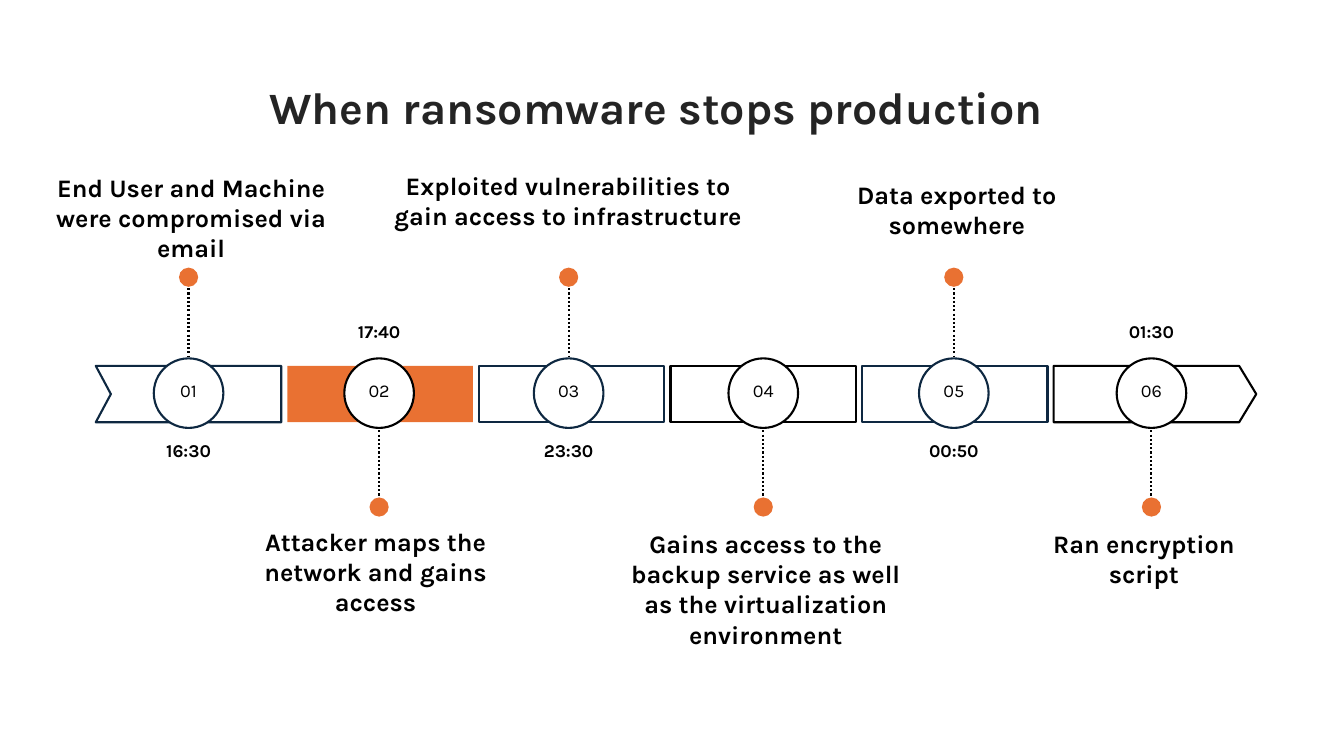
"""Build a slide with the timeline of a ransomware attack."""
from lxml import etree
from pptx import Presentation
from pptx.dml.color import RGBColor
from pptx.enum import dml, shapes, text
from pptx.oxml import ns
from pptx.util import Inches, Pt

FONT = "Karla"
BLACK = RGBColor(0x00, 0x00, 0x00)
WHITE = RGBColor(0xFF, 0xFF, 0xFF)
GREY = RGBColor(0x24, 0x24, 0x24)
NAVY = RGBColor(0x0E, 0x28, 0x41)
ORANGE = RGBColor(0xE9, 0x71, 0x32)

LEFT, TOP, PITCH, WIDTH, HEIGHT = 0.95, 3.63, 1.9, 1.84, 0.56
DISC, DOT = 0.69, 0.19

# Each step: centre, time, text, text box
STEPS = [
    (1.87, "16:30", "End User and Machine were compromised via email",
     (0.3, 1.66, 3.19, 1)),
    (3.76, "17:40", "Attacker maps the network and gains access",
     (2.32, 5.17, 2.81, 1.24)),
    (5.64, "23:30", "Exploited vulnerabilities to gain access to infrastructure",
     (3.78, 1.64, 3.71, 1.01)),
    (7.57, None, "Gains access to the backup service as well as the "
     "virtualization environment", (6.11, 5.19, 2.97, 1.24)),
    (9.46, "00:50", "Data exported to somewhere", (7.77, 1.73, 3.44, 0.74)),
    (11.42, "01:30", "Ran encryption script", (10.17, 5.19, 2.35, 1.05)),
]


def paint(shape, fill, line=None):
    """Set the fill and outline of a shape."""
    shape.shadow.inherit = False
    shape.fill.solid()
    shape.fill.fore_color.rgb = fill
    if line is None:
        shape.line.fill.background()
    else:
        shape.line.color.rgb = line
        shape.line.width = Pt(1.5)


def style(para, size, color, bold, align, space=None):
    """Format a paragraph."""
    para.alignment = align
    para.line_spacing = space
    font = para.font
    font.name, font.size, font.bold = FONT, Pt(size), bold
    font.color.rgb = color


def label(slide, words, box, size, bold=True, space=None):
    """Add a centred text box."""
    frame = slide.shapes.add_textbox(*map(Inches, box)).text_frame
    frame.word_wrap = True
    frame.text = words
    style(frame.paragraphs[0], size, BLACK, bold, text.PP_ALIGN.CENTER, space)


def title(slide, words):
    """Place and format the slide title."""
    head = slide.shapes.title
    head.left, head.top = Inches(2.57), Inches(0.79)
    head.width, head.height = Inches(10.4), Inches(0.6)
    frame = head.text_frame
    frame.text = words
    frame.vertical_anchor = text.MSO_ANCHOR.MIDDLE
    style(frame.paragraphs[0], 32, GREY, True, text.PP_ALIGN.LEFT, 0.9)


def outline(slide, points):
    """Add a closed shape through the points."""
    spots = [(Inches(x), Inches(y)) for x, y in points]
    form = slide.shapes.build_freeform(*spots[0])
    form.add_line_segments(spots[1:], close=True)
    return form.convert_to_shape()


def segment(slide, index):
    """Add one piece of the timeline band."""
    left = LEFT + index * PITCH
    right, base, mid = left + WIDTH, TOP + HEIGHT, TOP + HEIGHT / 2
    corners = [(right, base), (left, base), (left, TOP), (right, TOP)]
    if index == 0:
        corners.insert(2, (left + 0.15, mid))
        bar = outline(slide, corners)
    elif index == len(STEPS) - 1:
        corners.append((right + 0.17, mid))
        bar = outline(slide, corners)
    else:
        bar = slide.shapes.add_shape(
            shapes.MSO_SHAPE.RECTANGLE,
            *map(Inches, (left, TOP, WIDTH, HEIGHT)))
    if index == 1:
        paint(bar, ORANGE)
    else:
        paint(bar, WHITE, BLACK if index % 2 else NAVY)


def circle(slide, x, y, size, fill, line=None):
    """Add a circle around a centre point."""
    disc = slide.shapes.add_shape(
        shapes.MSO_SHAPE.OVAL,
        *map(Inches, (x - size / 2, y - size / 2, size, size)))
    paint(disc, fill, line)


def stem(slide, x, start, end):
    """Add a dotted vertical line."""
    link = slide.shapes.add_connector(
        shapes.MSO_CONNECTOR.STRAIGHT,
        *map(Inches, (x, start, x, end)))
    link.line.color.rgb = BLACK
    link.line.width = Pt(1.5)
    link.line.dash_style = dml.MSO_LINE.ROUND_DOT
    props = link.element.find(ns.qn("p:spPr"))
    etree.SubElement(props, ns.qn("a:effectLst"))


def step(slide, index):
    """Add the number, stem, time and text of one step."""
    x, time, words, box = STEPS[index]
    below = index % 2
    circle(slide, x, 3.9, DISC, WHITE, BLACK if below else NAVY)
    label(slide, f"{index + 1:02}", (x - 0.34, 3.74, 0.68, 0.31),
          12.9, False, 0.9)
    start = 4.27 if below else 2.86
    stem(slide, x, start, start + 0.67)
    circle(slide, x, 5.03 if below else 2.75, DOT, ORANGE)
    if time:
        label(slide, time, (x - 0.52, 3.15 if below else 4.33, 1.04, 0.31),
              12.9, True, 0.9)
    label(slide, words, box, 18)


def main():
    """Build and save the slide."""
    deck = Presentation()
    deck.slide_width, deck.slide_height = Inches(13.33), Inches(7.5)
    slide = deck.slides.add_slide(deck.slide_layouts[5])
    title(slide, "When ransomware stops production")
    for index in range(len(STEPS)):
        segment(slide, index)
    for index in range(len(STEPS)):
        step(slide, index)
    deck.save("out.pptx")


if __name__ == "__main__":
    main()
